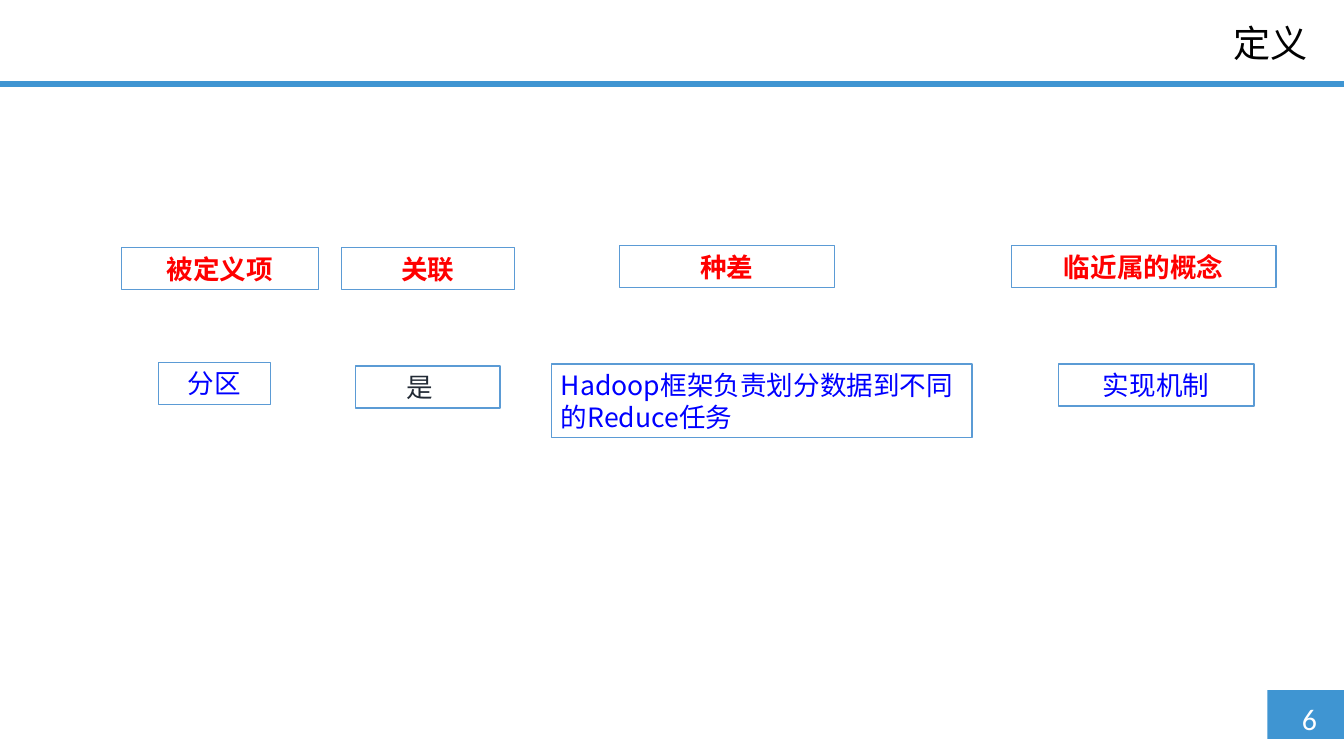
from lxml import etree
from pptx import Presentation
from pptx.dml.color import RGBColor
from pptx.enum.shapes import MSO_SHAPE as Shape
from pptx.enum.text import MSO_ANCHOR as Anchor, PP_ALIGN as Align
from pptx.oxml.ns import qn
from pptx.util import Inches, Pt

COLORS = {
    "band": "3F95D2",
    "border": "5B9BD5",
    "white": "FFFFFF",
    "term": "FF0000",
    "value": "0000FF",
    "link": "222A35",
    "title": "000000",
}
CJK_FONT = "Noto Sans CJK SC"
ROW_HEIGHT = 0.44
INSET = 0.1

# Each cell: left, top, width, text
TERMS = [
    (1.27, 2.59, 2.06, "被定义项"),
    (3.57, 2.59, 1.81, "关联"),
    (6.48, 2.57, 2.25, "种差"),
    (10.58, 2.57, 2.77, "临近属的概念"),
]
VALUES = [
    (1.66, 3.79, 1.17, "分区"),
    (11.07, 3.81, 2.05, "实现机制"),
]


def color(name):
    return RGBColor.from_string(COLORS[name])


def add_rectangle(slide, box, fill, border=None):
    shape = slide.shapes.add_shape(Shape.RECTANGLE, *map(Inches, box))
    shape.shadow.inherit = False
    shape.fill.solid()
    shape.fill.fore_color.rgb = color(fill)
    if border:
        shape.line.color.rgb = color(border)
        shape.line.width = Pt(1)
    else:
        shape.line.fill.background()
    return shape


def write(shape, text, size, ink, align=Align.LEFT, bold=False,
          font=CJK_FONT, anchor=Anchor.MIDDLE, wrap=True):
    """Put one formatted run in the shape and return its paragraph."""
    frame = shape.text_frame
    frame.word_wrap = wrap
    frame.vertical_anchor = anchor
    paragraph = frame.paragraphs[0]
    paragraph.alignment = align
    run = paragraph.add_run()
    run.text = text
    run.font.size = Pt(size)
    run.font.bold = bold
    run.font.name = font
    run.font.color.rgb = color(ink)
    east_asian = etree.SubElement(run.font._element, qn("a:ea"))
    east_asian.set("typeface", font)
    return paragraph


def add_cell(slide, box, text, ink, align=Align.CENTER, bold=False, inset=INSET):
    shape = add_rectangle(slide, box, "white", "border")
    shape.text_frame.margin_left = Inches(inset)
    write(shape, text, 20, ink, align, bold)


def add_header(slide, left, top, width):
    add_rectangle(slide, (left, top + 0.85, width, 0.06), "band")
    title = slide.shapes.add_textbox(
        *map(Inches, (left + width - 4.59, top + 0.22, 4.31, 0.57)))
    paragraph = write(title, "定义", 28, "title", Align.RIGHT, anchor=Anchor.TOP)
    paragraph.line_spacing = 0.9


def add_page_number(slide, left, top, width, height):
    add_rectangle(slide, (left, top, width, height), "band")
    number = slide.shapes.add_textbox(
        *map(Inches, (left + 0.26, top + 0.06, 0.65, 0.48)))
    write(number, "6", 22.5, "white", font="Calibri", wrap=False)


def add_definition(slide):
    """Place the terms and, below them, the parts of the definition."""
    for ink, bold, cells in (("term", True, TERMS), ("value", False, VALUES)):
        for left, top, width, text in cells:
            add_cell(slide, (left, top, width, ROW_HEIGHT), text, ink, bold=bold)
    add_cell(slide, (3.72, 3.83, 1.51, ROW_HEIGHT), "是", "link",
             Align.LEFT, inset=0.53)
    add_cell(slide, (5.77, 3.81, 4.4, 0.77),
             "Hadoop框架负责划分数据到不同的Reduce任务", "value", Align.LEFT)


def main():
    presentation = Presentation()
    presentation.slide_width = Inches(14.06)
    presentation.slide_height = Inches(7.91)
    slide = presentation.slides.add_slide(presentation.slide_layouts[6])
    add_header(slide, 0, 0, 14.06)
    add_definition(slide)
    add_page_number(slide, 13.26, 7.22, 0.8, 0.51)
    presentation.save("out.pptx")


if __name__ == "__main__":
    main()
